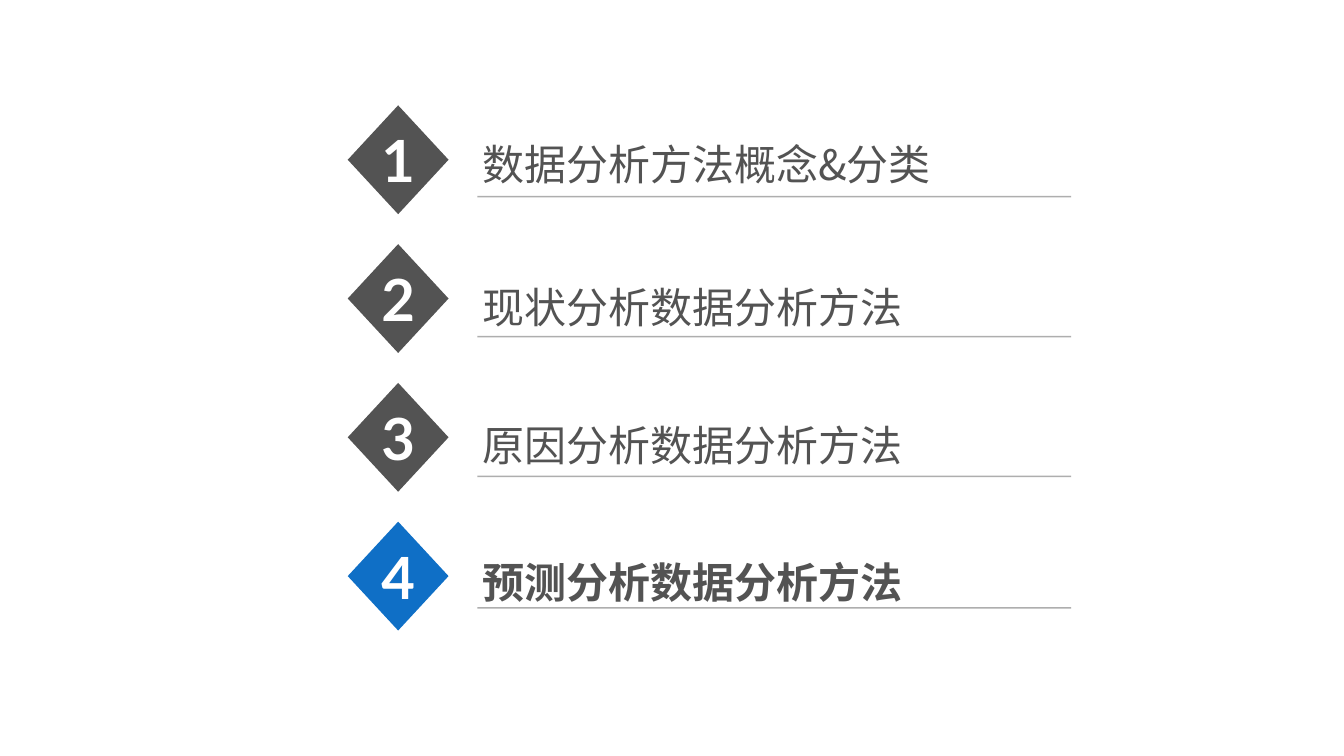
from dataclasses import dataclass

from lxml import etree
from pptx import Presentation
from pptx.dml.color import RGBColor
from pptx.enum.shapes import MSO_CONNECTOR, MSO_SHAPE
from pptx.enum.text import MSO_ANCHOR, MSO_AUTO_SIZE, PP_ALIGN
from pptx.oxml.ns import qn
from pptx.shapes.group import GroupShape
from pptx.util import Pt

DIAMOND, STRAIGHT = MSO_SHAPE.DIAMOND, MSO_CONNECTOR.STRAIGHT
MIDDLE, CENTER = MSO_ANCHOR.MIDDLE, PP_ALIGN.CENTER
GROW = MSO_AUTO_SIZE.SHAPE_TO_FIT_TEXT

GRAY = RGBColor(0x53, 0x53, 0x53)
BLUE = RGBColor(0x0F, 0x6F, 0xC6)
RULE_GRAY = RGBColor(0x5E, 0x5E, 0x5E)
WHITE = RGBColor(0xFF, 0xFF, 0xFF)
NUMBER_FONT, TITLE_FONT = "Lato", "Noto Sans CJK JP"

DIAMOND_LEFT, DIAMOND_TOP, DIAMOND_PITCH = 496.8, 150.5, 198.25
DIAMOND_WIDTH, DIAMOND_HEIGHT = 144, 155.5
TITLE_LEFT, TITLE_WIDTH, TITLE_HEIGHT = 681.8, 846.7, 87.1
RULE_RIGHT = 1530
INSET = 7.2


@dataclass(frozen=True)
class Chapter:
    title: str
    title_top: float
    rule_y: float
    current: bool = False


CHAPTERS = [
    Chapter("数据分析方法概念&分类", 190.8, 280.8),
    Chapter("现状分析数据分析方法", 394.6, 481),
    Chapter("原因分析数据分析方法", 591.8, 680.6),
    Chapter("预测分析数据分析方法", 788.4, 868.3, current=True),
]


def write(sp, text: str, font: str, size: float, color: RGBColor, bold: bool):
    """Fill the shape with one styled paragraph and return the paragraph."""
    tf = sp.text_frame
    tf.word_wrap = True
    tf.margin_left = tf.margin_right = tf.margin_top = tf.margin_bottom = Pt(INSET)
    p = tf.paragraphs[0]
    p.text = text
    p.font.name, p.font.size, p.font.bold = font, Pt(size), bold
    p.font.color.rgb = color
    # East Asian glyphs take their typeface from a:ea
    props = p._p.pPr.find(qn("a:defRPr"))
    etree.SubElement(props, qn("a:ea")).set("typeface", font)
    return p


def draw_title(group: GroupShape, chapter: Chapter) -> None:
    sp = group.shapes.add_textbox(
        Pt(TITLE_LEFT), Pt(chapter.title_top), Pt(TITLE_WIDTH), Pt(TITLE_HEIGHT))
    write(sp, chapter.title, TITLE_FONT, 60, GRAY, chapter.current)
    sp.text_frame.auto_size = GROW


def draw_number(group: GroupShape, number: int, current: bool) -> None:
    top = DIAMOND_TOP + (number - 1) * DIAMOND_PITCH
    sp = group.shapes.add_shape(
        DIAMOND, Pt(DIAMOND_LEFT), Pt(top), Pt(DIAMOND_WIDTH), Pt(DIAMOND_HEIGHT))
    sp.shadow.inherit = False
    sp.fill.solid()
    sp.fill.fore_color.rgb = BLUE if current else GRAY
    sp.line.fill.background()
    p = write(sp, str(number), NUMBER_FONT, 83, WHITE, True)
    p.alignment = CENTER
    sp.text_frame.vertical_anchor = MIDDLE


def draw_rule(group: GroupShape, y: float) -> None:
    """Draw the half-transparent line under a title."""
    rule = group.shapes.add_connector(
        STRAIGHT, Pt(TITLE_LEFT), Pt(y), Pt(RULE_RIGHT), Pt(y))
    rule.line.width = Pt(2)
    rule.line.color.rgb = RULE_GRAY
    props = rule._element.spPr
    color = props.find(".//" + qn("a:srgbClr"))
    etree.SubElement(color, qn("a:alpha")).set("val", "50000")
    etree.SubElement(props, qn("a:effectLst"))


def main() -> None:
    prs = Presentation()
    prs.slide_width, prs.slide_height = Pt(1920), Pt(1080)
    slide = prs.slides.add_slide(prs.slide_layouts[6])
    for number, chapter in enumerate(CHAPTERS, start=1):
        group = slide.shapes.add_group_shape()
        draw_title(group, chapter)
        draw_number(group, number, chapter.current)
        draw_rule(group, chapter.rule_y)
    prs.save("out.pptx")


if __name__ == "__main__":
    main()
